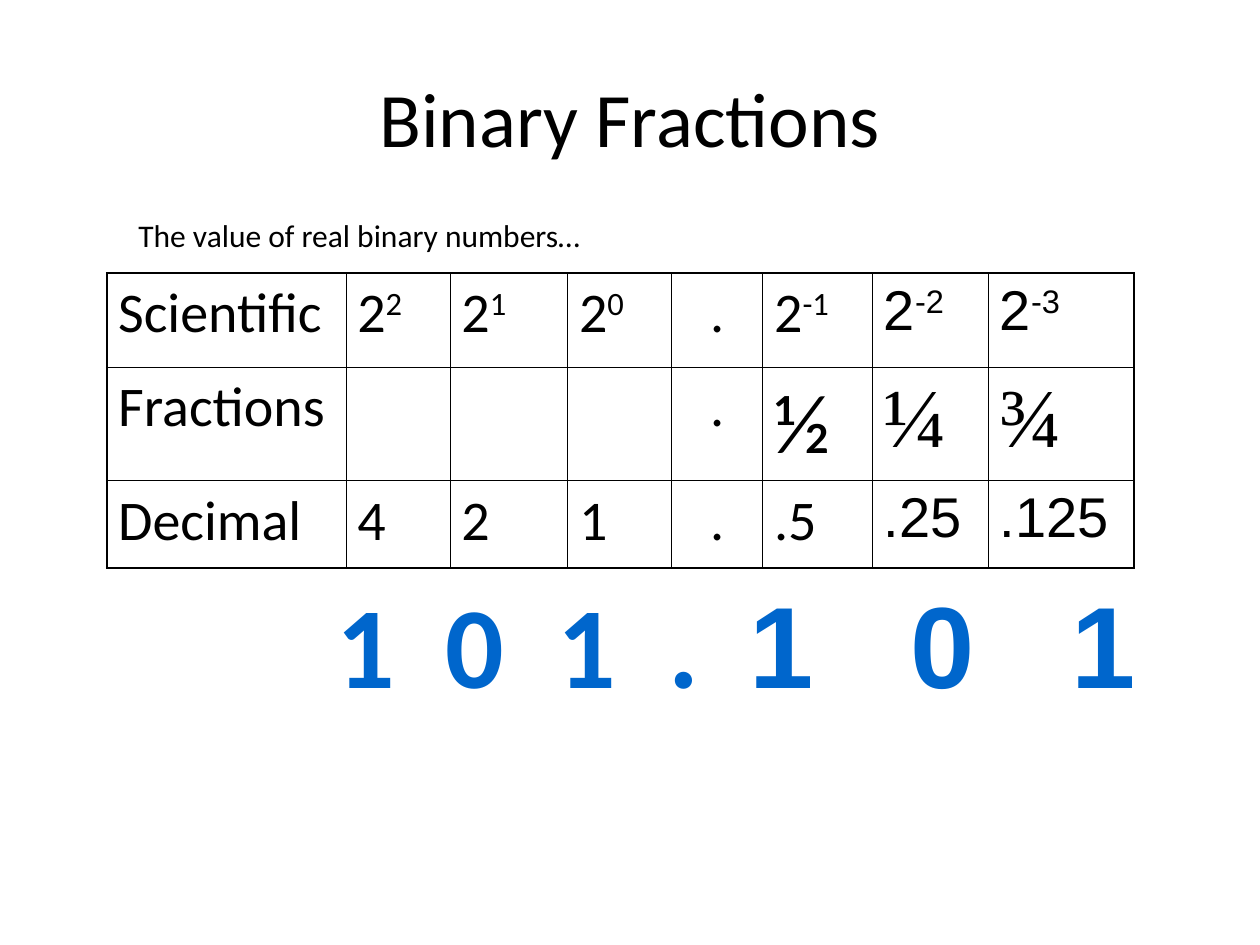
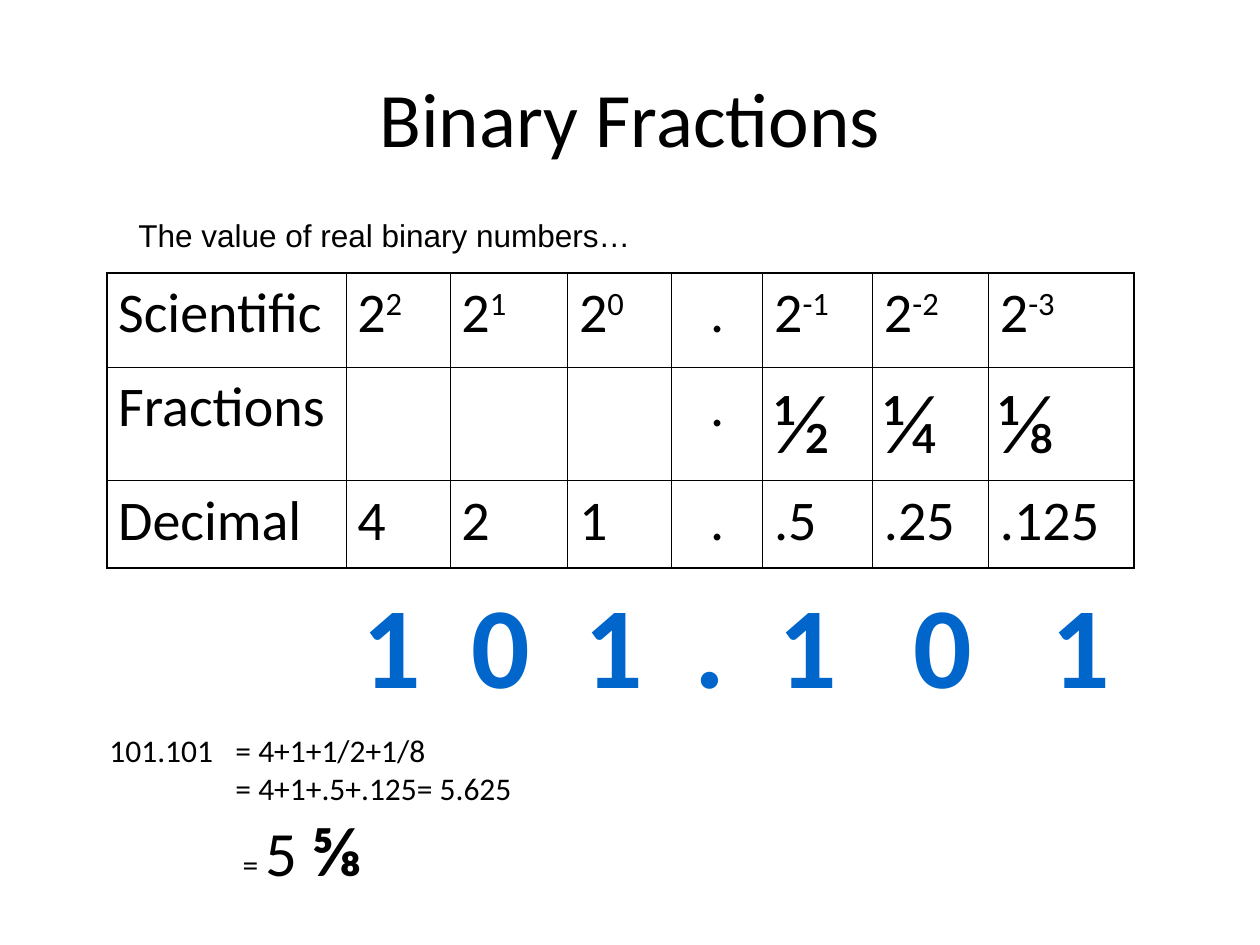
from lxml.etree import SubElement
from pptx import Presentation
from pptx.dml.color import RGBColor as RGB
from pptx.enum.text import MSO_ANCHOR as ANCHOR, PP_ALIGN as ALIGN
from pptx.oxml.ns import qn
from pptx.util import Pt

COLORS = {"text": "000000", "bits": "0066CC", "border": "000000"}
BODY, SANS, SERIF = "Calibri", "Arial", "Times New Roman"
TITLE_BOX = (36, 21.6, 648, 90)
INTRO_BOX = (72, 120, 515, 29)
TABLE_BOX = (61, 156, 587, 168.2)
BITS_BOX = (160.5, 324, 520.5, 86.5)
SUM_BOX = (55.5, 414, 625.5, 98.5)
COL_WIDTHS = (136.7, 59.5, 67.2, 59.5, 52, 62.8, 66.3, 83)
ROW_HEIGHTS = (53.7, 64.6, 49.9)
THICK, THIN = 1.08, 0.45
POINT_COL = 4


def write(p, text, size=18, font=BODY, color="text", bold=False):
    """Add a run to a paragraph, raising whatever follows a caret."""
    for i, part in enumerate(text.split("^")):
        r = p.add_run()
        r.text = part
        r.font.size = Pt(size)
        r.font.name = font
        r.font.bold = bold
        r.font.color.rgb = RGB.from_string(COLORS[color])
        if i:
            r.font._element.set("baseline", "30000")


def add_text(slide, box, lines, align=ALIGN.LEFT, anchor=ANCHOR.TOP, tabs=(), tab_align="l"):
    """Add a text box whose lines are lists of (text, format) runs."""
    tf = slide.shapes.add_textbox(*map(Pt, box)).text_frame
    tf.word_wrap = True
    tf.vertical_anchor = anchor
    for i, runs in enumerate(lines):
        p = tf.paragraphs[0] if i == 0 else tf.add_paragraph()
        p.alignment = align
        if tabs:
            tab_list = SubElement(p._p.get_or_add_pPr(), qn("a:tabLst"))
            for pos in tabs:
                SubElement(tab_list, qn("a:tab"), pos=str(Pt(pos)), algn=tab_align)
        for text, fmt in runs:
            write(p, text, **fmt)


def set_borders(cell, widths):
    """Draw the cell's borders from a dict of side and width."""
    tc_pr = cell._tc.get_or_add_tcPr()
    for side, width in widths.items():
        ln = SubElement(tc_pr, qn(f"a:ln{side}"), w=str(Pt(width)))
        fill = SubElement(ln, qn("a:solidFill"))
        SubElement(fill, qn("a:srgbClr"), val=COLORS["border"])


def add_place_values(slide, box, eighth, late_fonts):
    """Add the place value table, with a font per row for its last two columns."""
    rows = (
        ("Scientific", "2^2", "2^1", "2^0", ".", "2^-1", "2^-2", "2^-3"),
        ("Fractions", "", "", "", ".", "½", "¼", eighth),
        ("Decimal", "4", "2", "1", ".", ".5", ".25", ".125"),
    )
    last_row, last_col = len(rows) - 1, len(COL_WIDTHS) - 1
    table = slide.shapes.add_table(len(rows), len(COL_WIDTHS), *map(Pt, box)).table
    table.first_row = table.horz_banding = False
    for col, width in zip(table.columns, COL_WIDTHS):
        col.width = Pt(width)
    for i, texts in enumerate(rows):
        table.rows[i].height = Pt(ROW_HEIGHTS[i])
        for j, text in enumerate(texts):
            cell = table.cell(i, j)
            outer = {"L": j == 0, "R": j == last_col, "T": i == 0, "B": i == last_row}
            set_borders(cell, {k: THICK if edge else THIN for k, edge in outer.items()})
            cell.fill.background()
            cell.margin_left = cell.margin_right = Pt(6.5)
            cell.margin_top = cell.margin_bottom = Pt(3.6)
            p = cell.text_frame.paragraphs[0]
            p.alignment = ALIGN.CENTER if j == POINT_COL else ALIGN.LEFT
            if text:
                is_fraction = i == 1 and j > POINT_COL
                write(p, text, size=48 if is_fraction else 32,
                      font=late_fonts[i] if j > POINT_COL + 1 else BODY)


def add_bits(slide, box, font, tabs):
    """Add the large binary number, each digit centred on a tab stop."""
    fmt = {"size": 66, "color": "bits", "bold": True}
    runs = [("\t1\t0\t1\t.\t", fmt), ("1\t0\t1", {**fmt, "font": font})]
    add_text(slide, box, [runs], tabs=tabs, tab_align="ctr")


def add_sum(slide, box):
    """Add the worked sum of the binary number."""
    lines = [
        [("101.101\t= 4+1+1/2+1/8", {})],
        [("\t= 4+1+.5+.125= 5.625", {})],
        [("\t = ", {}), ("5 ", {"size": 36}), ("⅝", {"size": 40, "bold": True})],
    ]
    add_text(slide, box, lines, tabs=(72,))


def add_fraction_slide(prs, intro_font, eighth, late_fonts, bit_font, bit_tabs):
    """Add a slide with the title, the intro, the table and the bits."""
    slide = prs.slides.add_slide(prs.slide_layouts[6])
    add_text(slide, TITLE_BOX, [[("Binary Fractions", {"size": 44})]],
             align=ALIGN.CENTER, anchor=ANCHOR.MIDDLE)
    add_text(slide, INTRO_BOX, [[("The value of real binary numbers…", {"font": intro_font})]])
    add_place_values(slide, TABLE_BOX, eighth, late_fonts)
    add_bits(slide, BITS_BOX, bit_font, bit_tabs)
    return slide


def main():
    """Build and save the presentation."""
    prs = Presentation()
    prs.slide_width, prs.slide_height = Pt(720), Pt(540)
    add_fraction_slide(prs, BODY, "¾", (SANS, SERIF, SANS), SANS,
                       (41.5, 103.5, 168, 223, 279, 371, 463))
    solved = add_fraction_slide(prs, SANS, "⅛", (BODY, BODY, BODY), BODY,
                                (56.5, 118.5, 183, 238, 294, 371, 450))
    add_sum(solved, SUM_BOX)
    prs.save("out.pptx")


if __name__ == "__main__":
    main()
